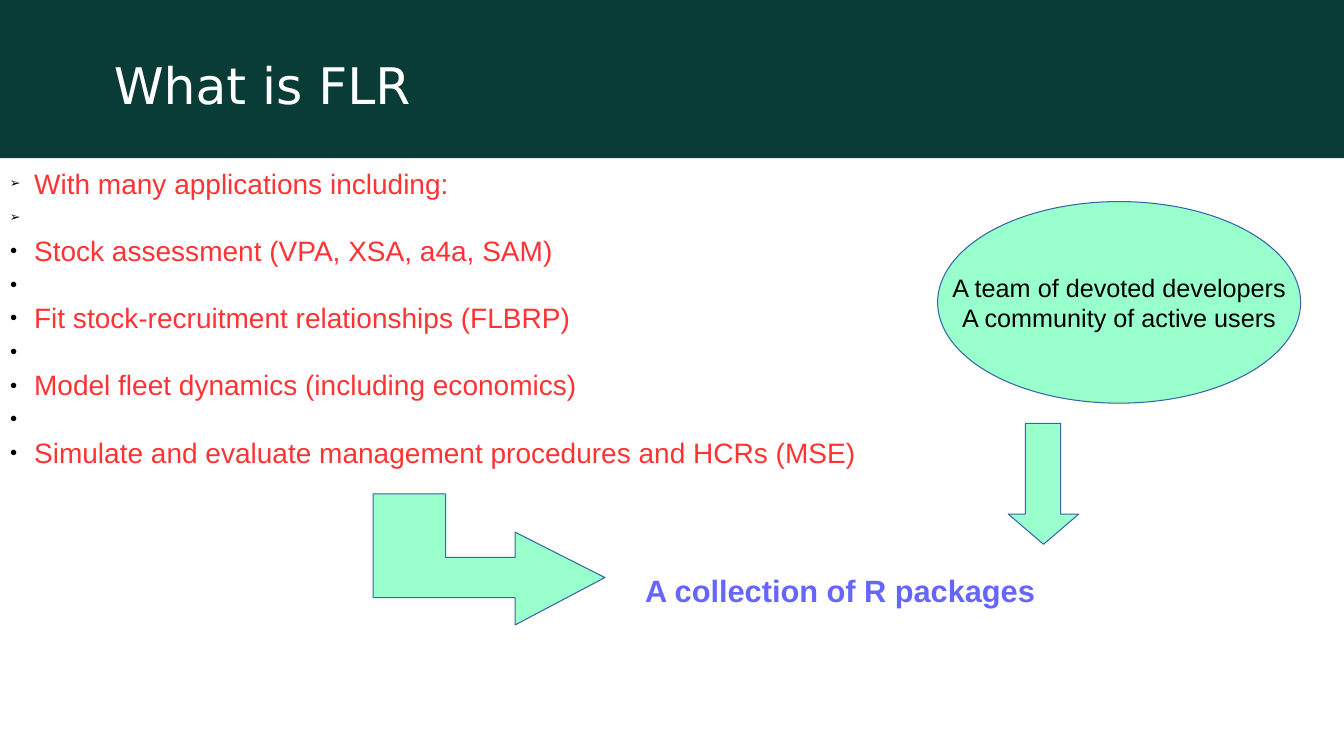
from dataclasses import dataclass

from lxml import etree
from pptx import Presentation
from pptx import util as u
from pptx.dml.color import RGBColor
from pptx.enum import shapes, text
from pptx.oxml.ns import qn


@dataclass(frozen=True)
class Theme:
    band: str = "093B37"
    title: str = "FFFFFF"
    body: str = "FF3333"
    accent: str = "6666FF"
    ink: str = "000000"
    shape_fill: str = "99FFCC"
    shape_line: str = "3465A4"
    title_font: str = "DejaVu Sans"
    body_font: str = "Arial"
    title_size: int = 36
    result_size: int = 22
    body_size: int = 20
    team_size: int = 18


@dataclass(frozen=True)
class Box:
    left: float
    top: float
    width: float
    height: float

    def lengths(self) -> list:
        return [u.Inches(n) for n in (self.left, self.top, self.width, self.height)]


@dataclass(frozen=True)
class Bullet:
    mark: str
    words: str


@dataclass(frozen=True)
class BlockArrow:
    points: tuple


THEME = Theme()
ARROWHEAD, DOT = "➢", "●"

# The lines between the topics carry a visible bullet of their own
BULLETS = [
    Bullet(ARROWHEAD, "With many applications including:"),
    Bullet(ARROWHEAD, " "),
    Bullet(DOT, "Stock assessment (VPA, XSA, a4a, SAM)"),
    Bullet(DOT, " "),
    Bullet(DOT, "Fit stock-recruitment relationships (FLBRP)"),
    Bullet(DOT, " "),
    Bullet(DOT, "Model fleet dynamics (including economics)"),
    Bullet(DOT, " "),
    Bullet(DOT, "Simulate and evaluate management procedures and HCRs (MSE)"),
]

ARROWS = [
    BlockArrow(((5.11, 5.28), (5.11, 5.53), (4.42, 5.53), (4.42, 4.9), (3.7, 4.9),
                (3.7, 5.93), (5.11, 5.93), (5.11, 6.2), (6, 5.73))),
    BlockArrow(((10.17, 4.2), (10.17, 5.1), (10, 5.1), (10.35, 5.4), (10.7, 5.1),
                (10.52, 5.1), (10.52, 4.2))),
]


def style_font(paragraph, size: int, color: str, name: str = THEME.body_font,
               bold: bool = False) -> None:
    for run in paragraph.runs:
        run.font.name = name
        run.font.size = u.Pt(size)
        run.font.bold = bold
        run.font.color.rgb = RGBColor.from_string(color)


def style_shape(shape, fill: str, line: str = "") -> None:
    shape.shadow.inherit = False
    shape.fill.solid()
    shape.fill.fore_color.rgb = RGBColor.from_string(fill)
    if line:
        shape.line.color.rgb = RGBColor.from_string(line)
        shape.line.width = u.Pt(0.75)
    else:
        shape.line.fill.background()


def add_text_box(slide, box: Box):
    frame = slide.shapes.add_textbox(*box.lengths()).text_frame
    frame.word_wrap = True
    return frame


def set_bullet(paragraph, mark: str) -> None:
    properties = paragraph._p.get_or_add_pPr()
    properties.set("marL", str(u.Inches(0.24)))
    properties.set("indent", str(-u.Inches(0.24)))
    color = etree.SubElement(properties, qn("a:buClr"))
    etree.SubElement(color, qn("a:srgbClr"), val=THEME.ink)
    etree.SubElement(properties, qn("a:buSzPct"), val="45000")
    etree.SubElement(properties, qn("a:buFont"), typeface=THEME.body_font)
    etree.SubElement(properties, qn("a:buChar"), char=mark)


def add_header(slide) -> None:
    band = slide.shapes.add_shape(shapes.MSO_SHAPE.RECTANGLE,
                                  *Box(0, 0, 13.33, 1.57).lengths())
    style_shape(band, THEME.band)
    slide.shapes._spTree.insert(2, band._element)  # behind the title

    title = slide.shapes.title
    title.left, title.top, title.width, title.height = Box(1.03, 0.49, 11.91, 1.08).lengths()
    title.text_frame.text = "What is FLR"
    title.text_frame.vertical_anchor = text.MSO_ANCHOR.TOP
    paragraph = title.text_frame.paragraphs[0]
    paragraph.alignment = text.PP_ALIGN.LEFT
    style_font(paragraph, THEME.title_size, THEME.title, THEME.title_font)


def add_applications(slide) -> None:
    frame = add_text_box(slide, Box(0, 1.6, 13.3, 2.92))
    frame.text = "\n".join(bullet.words for bullet in BULLETS)
    for paragraph, bullet in zip(frame.paragraphs, BULLETS):
        set_bullet(paragraph, bullet.mark)
        paragraph.line_spacing = u.Pt(24)
        style_font(paragraph, THEME.body_size, THEME.body)


def add_result(slide) -> None:
    frame = add_text_box(slide, Box(6.3, 5.62, 4.3, 0.44))
    frame.text = "A collection of R packages"
    style_font(frame.paragraphs[0], THEME.result_size, THEME.accent, bold=True)


def add_team(slide) -> None:
    ellipse = slide.shapes.add_shape(shapes.MSO_SHAPE.OVAL, *Box(9.3, 2, 3.6, 2).lengths())
    style_shape(ellipse, THEME.shape_fill, THEME.shape_line)
    frame = ellipse.text_frame
    frame.word_wrap = False
    frame.vertical_anchor = text.MSO_ANCHOR.MIDDLE
    frame.text = "A team of devoted developers\nA community of active users"
    for paragraph in frame.paragraphs:
        paragraph.alignment = text.PP_ALIGN.CENTER
        style_font(paragraph, THEME.team_size, THEME.ink)


def add_block_arrow(slide, arrow: BlockArrow) -> None:
    start, *others = [(u.Inches(x), u.Inches(y)) for x, y in arrow.points]
    builder = slide.shapes.build_freeform(*start)
    builder.add_line_segments(others, close=True)
    style_shape(builder.convert_to_shape(), THEME.shape_fill, THEME.shape_line)


def main() -> None:
    presentation = Presentation()
    presentation.slide_width = u.Inches(13.33)
    presentation.slide_height = u.Inches(7.5)
    slide = presentation.slides.add_slide(presentation.slide_layouts.get_by_name("Title Only"))

    add_header(slide)
    add_applications(slide)
    add_result(slide)
    add_team(slide)
    for arrow in ARROWS:
        add_block_arrow(slide, arrow)

    presentation.save("out.pptx")


if __name__ == "__main__":
    main()
